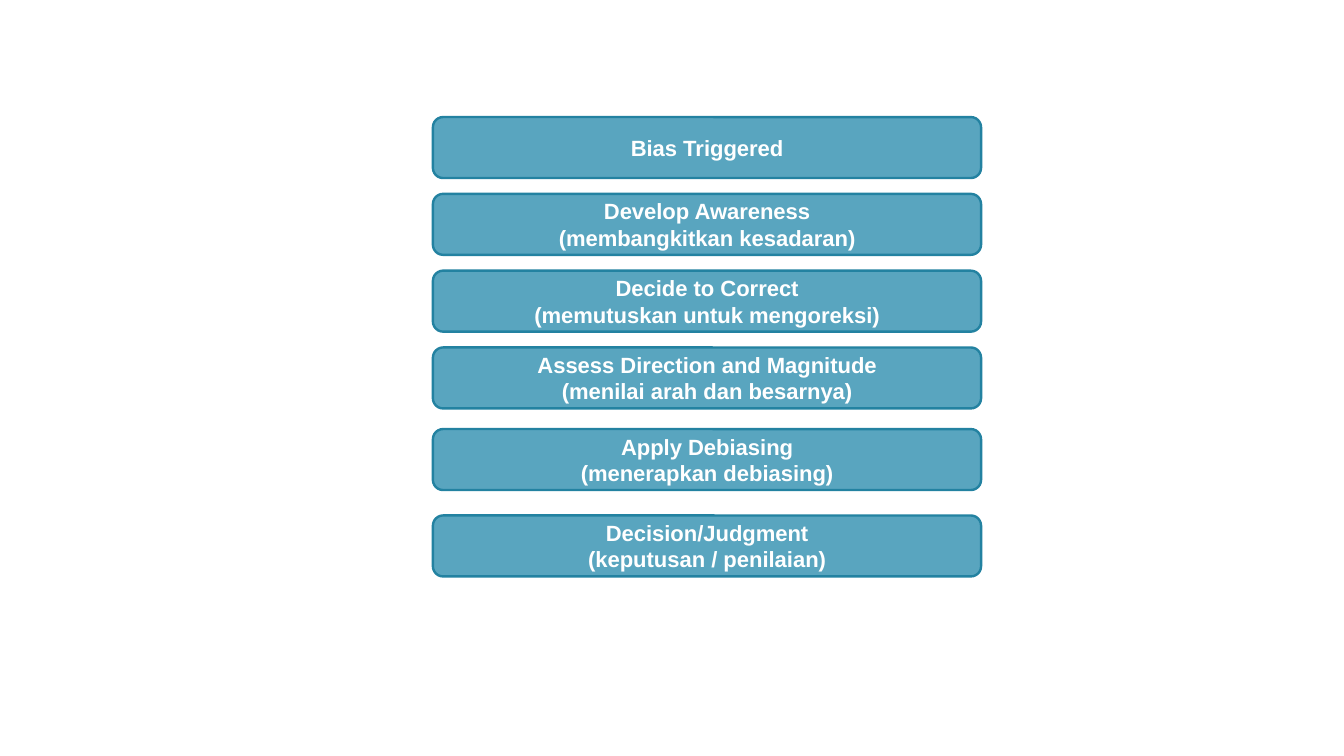
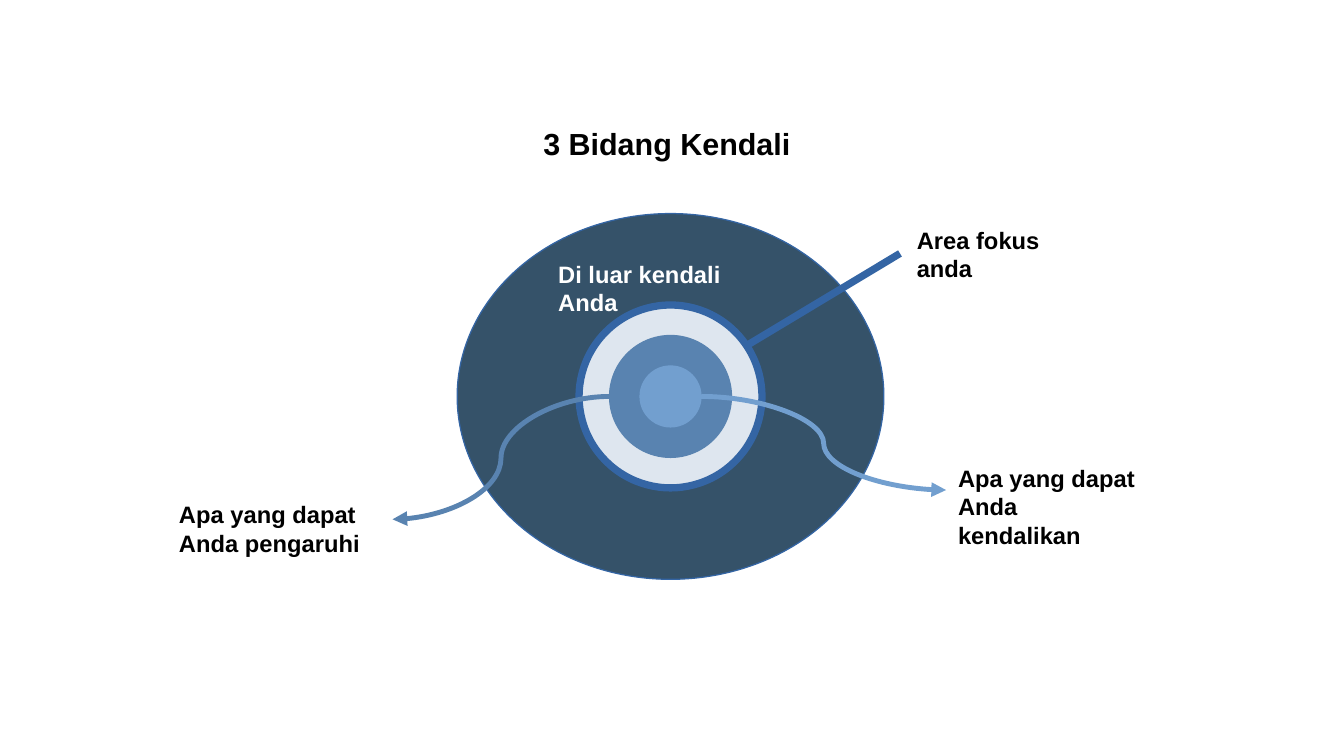
from pptx import Presentation
from pptx.dml.color import RGBColor
from pptx.enum.shapes import MSO_CONNECTOR as Link, MSO_SHAPE as Preset
from pptx.enum.text import MSO_ANCHOR as Anchor, PP_ALIGN as Align
from pptx.oxml.ns import qn
from pptx.util import Cm, Pt
from lxml.etree import SubElement

WHITE = RGBColor(0xFF, 0xFF, 0xFF)
BLACK = RGBColor(0x00, 0x00, 0x00)
TEAL = RGBColor(0x59, 0xA5, 0xBF)
DARK_TEAL = RGBColor(0x23, 0x82, 0xA1)
SLATE = RGBColor(0x35, 0x52, 0x69)
PALE = RGBColor(0xDE, 0xE6, 0xEF)
ROYAL = RGBColor(0x34, 0x65, 0xA4)
STEEL = RGBColor(0x59, 0x83, 0xB0)
SKY = RGBColor(0x72, 0x9F, 0xCF)
FONT = "Arial"

# Debiasing steps: distance below the previous step, lines of text
STEPS = [
    (0, ["Bias Triggered"]),
    (1.6, ["Develop Awareness", "(membangkitkan kesadaran)"]),
    (1.6, ["Decide to Correct", "(memutuskan untuk mengoreksi)"]),
    (1.6, ["Assess Direction and Magnitude", "(menilai arah dan besarnya)"]),
    (1.7, ["Apply Debiasing", "(menerapkan debiasing)"]),
    (1.8, ["Decision/Judgment", "(keputusan / penilaian)"]),
]
STEP_LEFT, FIRST_TOP, STEP_WIDTH, STEP_HEIGHT = 9.02, 2.44, 11.42, 1.27

# Control areas, outermost first: width, height, fill, line, line width
CENTRE_X, CENTRE_Y = 13.97, 8.26
AREAS = [
    (8.89, 7.62, SLATE, ROYAL, 0),
    (3.81, 3.81, PALE, ROYAL, 4.31),
    (2.54, 2.54, STEEL, STEEL, 0),
    (1.27, 1.27, SKY, SKY, 0),
]
# Pointers: kind, start, end, colour, width, arrowhead
POINTERS = [
    (Link.CURVE, (14.61, CENTRE_Y), (19.71, 10.21), SKY, 2.89, True),
    (Link.CURVE, (12.7, CENTRE_Y), (8.18, 10.82), STEEL, 2.89, True),
    (Link.STRAIGHT, (15.57, 7.19), (18.75, 5.28), ROYAL, 4.31, False),
]
# Labels: left, top, width, height, lines, size, colour
LABELS = [
    (11.07, 2.49, 5.84, 0.97, ["3 Bidang Kendali"], 18, BLACK),
    (19.71, 9.53, 4.42, 1.37, ["Apa yang dapat", "Anda kendalikan"], 14, BLACK),
    (3.48, 10.29, 4.32, 1.37, ["Apa yang dapat", "Anda pengaruhi"], 14, BLACK),
    (11.38, 5.28, 5.23, 0.81, ["Di luar kendali Anda"], 14, WHITE),
    (18.85, 4.57, 4.34, 0.81, ["Area fokus anda"], 14, BLACK),
]


def write_text(shape, lines, *, size, color, align=Align.LEFT,
               anchor=Anchor.TOP, wrap=True):
    frame = shape.text_frame
    frame.word_wrap = wrap
    frame.vertical_anchor = anchor
    for number, line in enumerate(lines):
        para = frame.add_paragraph() if number else frame.paragraphs[0]
        para.alignment = align
        span = para.add_run()
        span.text = line
        span.font.name = FONT
        span.font.size = Pt(size)
        span.font.bold = True
        span.font.color.rgb = color


def add_box(page, preset, left, top, width, height, fill, line, line_width):
    box = page.shapes.add_shape(preset, Cm(left), Cm(top), Cm(width), Cm(height))
    box.shadow.inherit = False
    box.fill.solid()
    box.fill.fore_color.rgb = fill
    box.line.color.rgb = line
    box.line.width = Pt(line_width)
    return box


def add_pointer(page, kind, start, end, color, width, arrow):
    pointer = page.shapes.add_connector(kind, *map(Cm, start + end))
    pointer.line.color.rgb = color
    pointer.line.width = Pt(width)
    if arrow:
        SubElement(pointer.line._get_or_add_ln(), qn("a:tailEnd"), type="triangle")
    SubElement(pointer._element.spPr, qn("a:effectLst"))


def build_steps(page):
    top = FIRST_TOP
    for distance, lines in STEPS:
        top += distance
        box = add_box(page, Preset.ROUNDED_RECTANGLE, STEP_LEFT, top,
                      STEP_WIDTH, STEP_HEIGHT, TEAL, DARK_TEAL, 1.42)
        write_text(box, lines, size=13, color=WHITE, align=Align.CENTER,
                   anchor=Anchor.MIDDLE, wrap=False)


def build_control_areas(page):
    for width, height, *style in AREAS:
        add_box(page, Preset.OVAL, CENTRE_X - width / 2, CENTRE_Y - height / 2,
                width, height, *style)
    for pointer in POINTERS:
        add_pointer(page, *pointer)
    for left, top, width, height, lines, size, color in LABELS:
        label = page.shapes.add_textbox(Cm(left), Cm(top), Cm(width), Cm(height))
        write_text(label, lines, size=size, color=color)


def main():
    deck = Presentation()
    deck.slide_width, deck.slide_height = Cm(28), Cm(15.75)
    for build in (build_steps, build_control_areas):
        build(deck.slides.add_slide(deck.slide_layouts[6]))
    deck.save("out.pptx")


if __name__ == "__main__":
    main()
